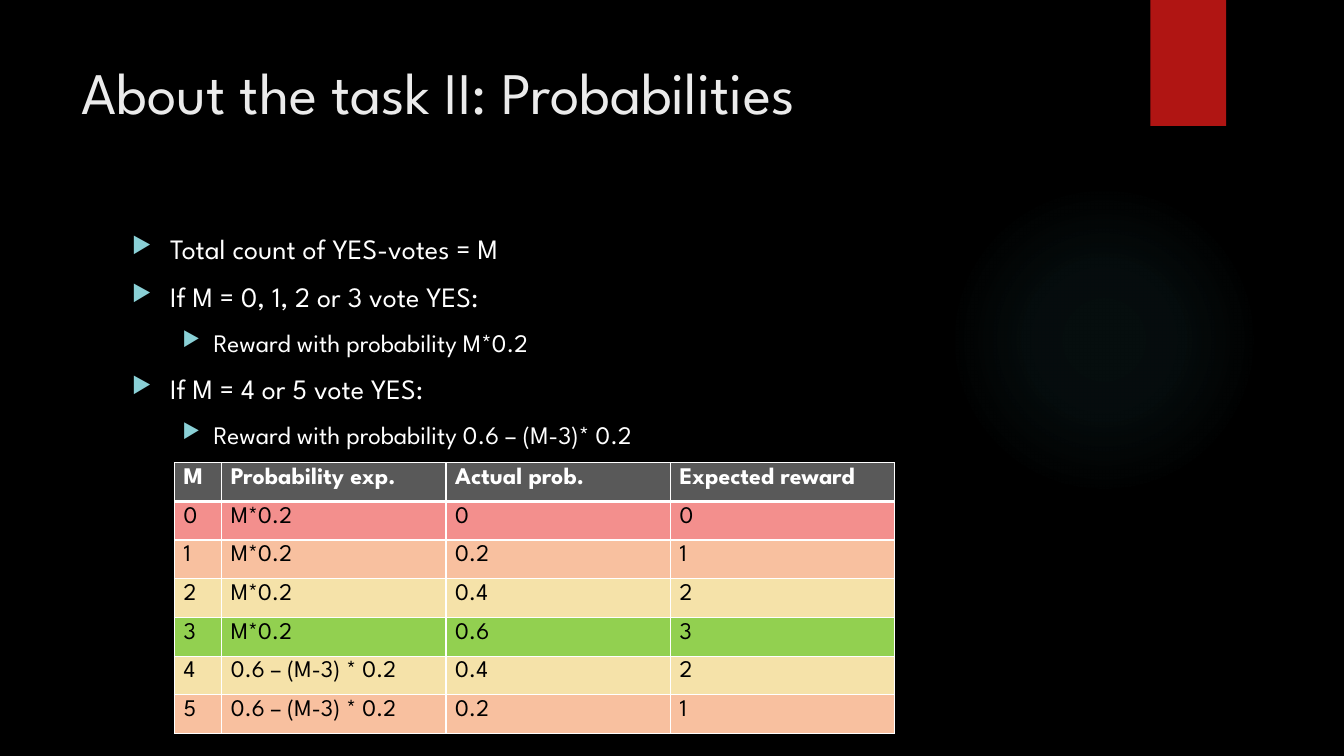
from dataclasses import dataclass

from lxml.etree import SubElement
from pptx import Presentation
from pptx.dml.color import RGBColor as Color
from pptx.enum.shapes import MSO_SHAPE as Shape
from pptx.enum.text import MSO_ANCHOR as Anchor
from pptx.oxml import parse_xml
from pptx.oxml.ns import nsdecls, qn
from pptx.util import Inches, Pt


@dataclass(frozen=True)
class Theme:
    """Colours, font and type sizes of the slide."""
    font: str = "League Spartan"
    background: str = "000000"
    glow: str = "50B9C1"
    ribbon: str = "B01513"
    title: str = "EBEBEB"
    light: str = "FFFFFF"
    dark: str = "000000"
    bullet: str = "8AD0D6"
    header: str = "595959"
    rewards: tuple = ("F38F8D", "F8C09F", "F5E2A9", "92D050")
    title_size: int = 42
    body_sizes: tuple = (20, 18)
    table_size: int = 17


class SlideBuilder:
    """Draws styled elements, placed in percent of the slide size."""

    def __init__(self, presentation, theme):
        self.theme = theme
        self.width, self.height = presentation.slide_width, presentation.slide_height
        self.slide = presentation.slides.add_slide(presentation.slide_layouts[6])
        self.paint(self.slide.background.fill, theme.background)

    def place(self, left, top, width, height):
        """Turn percentages into slide lengths."""
        shares = zip((left, top, width, height), (self.width, self.height) * 2)
        return [round(share * full / 100) for share, full in shares]

    def paint(self, fill, color):
        """Apply a solid colour."""
        fill.solid()
        fill.fore_color.rgb = Color.from_string(color)

    def style(self, paragraph, size, color, bold=False):
        """Format every run of a paragraph."""
        for run in paragraph.runs:
            run.font.name, run.font.size, run.font.bold = self.theme.font, Pt(size), bold
            run.font.color.rgb = Color.from_string(color)

    def shape(self, kind, area, color):
        """Add a plain preset shape."""
        shape = self.slide.shapes.add_shape(kind, *self.place(*area))
        shape.shadow.inherit = False
        shape.line.fill.background()
        self.paint(shape.fill, color)
        return shape

    def glow(self, area, stops):
        """Add a circle fading outwards through (position, opacity) stops."""
        properties = self.shape(Shape.OVAL, area, self.theme.glow).element.spPr
        marks = "".join(
            f'<a:gs pos="{position * 1000}"><a:srgbClr val="{self.theme.glow}">'
            f'<a:alpha val="{opacity * 1000}"/></a:srgbClr></a:gs>'
            for position, opacity in stops)
        gradient = parse_xml(
            f'<a:gradFill {nsdecls("a")}><a:gsLst>{marks}</a:gsLst><a:path path="circle">'
            '<a:fillToRect l="50000" t="50000" r="50000" b="50000"/></a:path></a:gradFill>')
        properties.replace(properties.find(qn("a:solidFill")), gradient)

    def text_frame(self, area, text):
        """Add a wrapping text box and return its frame."""
        frame = self.slide.shapes.add_textbox(*self.place(*area)).text_frame
        frame.word_wrap = True
        frame.vertical_anchor = Anchor.TOP
        frame.text = text
        return frame

    def title(self, area, text):
        """Add the slide title."""
        frame = self.text_frame(area, text)
        self.style(frame.paragraphs[0], self.theme.title_size, self.theme.title)

    def bullets(self, area, items):
        """Add a list of (level, text) items."""
        frame = self.text_frame(area, "\n".join(text for _, text in items))
        for paragraph, (level, _) in zip(frame.paragraphs, items):
            paragraph.level = level
            paragraph.space_before = Pt(10)
            self.style(paragraph, self.theme.body_sizes[level], self.theme.light)
            margin, indent = ((0.38, -0.38), (0.81, -0.31))[level]
            properties = paragraph._p.get_or_add_pPr()
            properties.set("marL", str(Inches(margin)))
            properties.set("indent", str(Inches(indent)))
            color = SubElement(properties, qn("a:buClr"))
            SubElement(color, qn("a:srgbClr"), val=self.theme.bullet)
            SubElement(properties, qn("a:buSzPct"), val="80000")
            SubElement(properties, qn("a:buChar"), char="▶")

    def cell(self, cell, text, fill, color, bold, rule):
        """Fill one table cell, with a bottom rule of the given width."""
        cell.text = text
        cell.margin_left = cell.margin_right = Inches(0.09)
        self.style(cell.text_frame.paragraphs[0], self.theme.table_size, color, bold)
        properties = cell._tc.get_or_add_tcPr()
        for side, width in zip("LRTB", (1, 1, 1, rule)):
            line = SubElement(properties, qn(f"a:ln{side}"), w=str(Pt(width)))
            SubElement(SubElement(line, qn("a:solidFill")), qn("a:srgbClr"), val=self.theme.light)
        self.paint(cell.fill, fill)

    def table(self, area, shares, header, rows):
        """Add a table from a header and (fill, texts) rows."""
        left, top, width, height = self.place(*area)
        table = self.slide.shapes.add_table(
            len(rows) + 1, len(header), left, top, width, height).table
        for column, share in zip(table.columns, shares):
            column.width = round(width * share / sum(shares))
        for index, (fill, texts) in enumerate([(self.theme.header, header), *rows]):
            first = index == 0
            color = self.theme.light if first else self.theme.dark
            for column, text in enumerate(texts):
                self.cell(table.cell(index, column), text, fill, color, first, 3 if first else 1)


def reward_row(votes, theme):
    """Return the fill and texts for a number of YES votes."""
    reward = min(votes, 6 - votes)
    expression = "M*0.2" if votes <= 3 else "0.6 – (M-3) * 0.2"
    return theme.rewards[reward], (str(votes), expression, f"{reward * 0.2:.1g}", str(reward))


def main():
    """Build and save the slide."""
    theme = Theme()
    presentation = Presentation()
    presentation.slide_width, presentation.slide_height = Inches(13.33), Inches(7.5)
    builder = SlideBuilder(presentation, theme)
    builder.glow((70.6, 24.4, 23.1, 41.07), ((0, 7), (36, 6), (69, 0)))
    builder.shape(Shape.RECTANGLE, (85.6, 0, 5.63, 16.67), theme.ribbon)
    builder.title((5.33, 6.67, 77.2, 20.4), "About the task II: Probabilities")
    builder.bullets((9.08, 30, 73.37, 61.2), (
        (0, "Total count of YES-votes = M"),
        (0, "If M = 0, 1, 2 or 3 vote YES:"),
        (1, "Reward with probability M*0.2"),
        (0, "If M = 4 or 5 vote YES:"),
        (1, "Reward with probability 0.6 – (M-3)* 0.2")))
    builder.table((12.98, 61.2, 53.6, 35.7), (0.47, 2.23, 2.23, 2.23),
                  ("M", "Probability exp.", "Actual prob.", "Expected reward"),
                  [reward_row(votes, theme) for votes in range(6)])
    presentation.save("out.pptx")


main()
